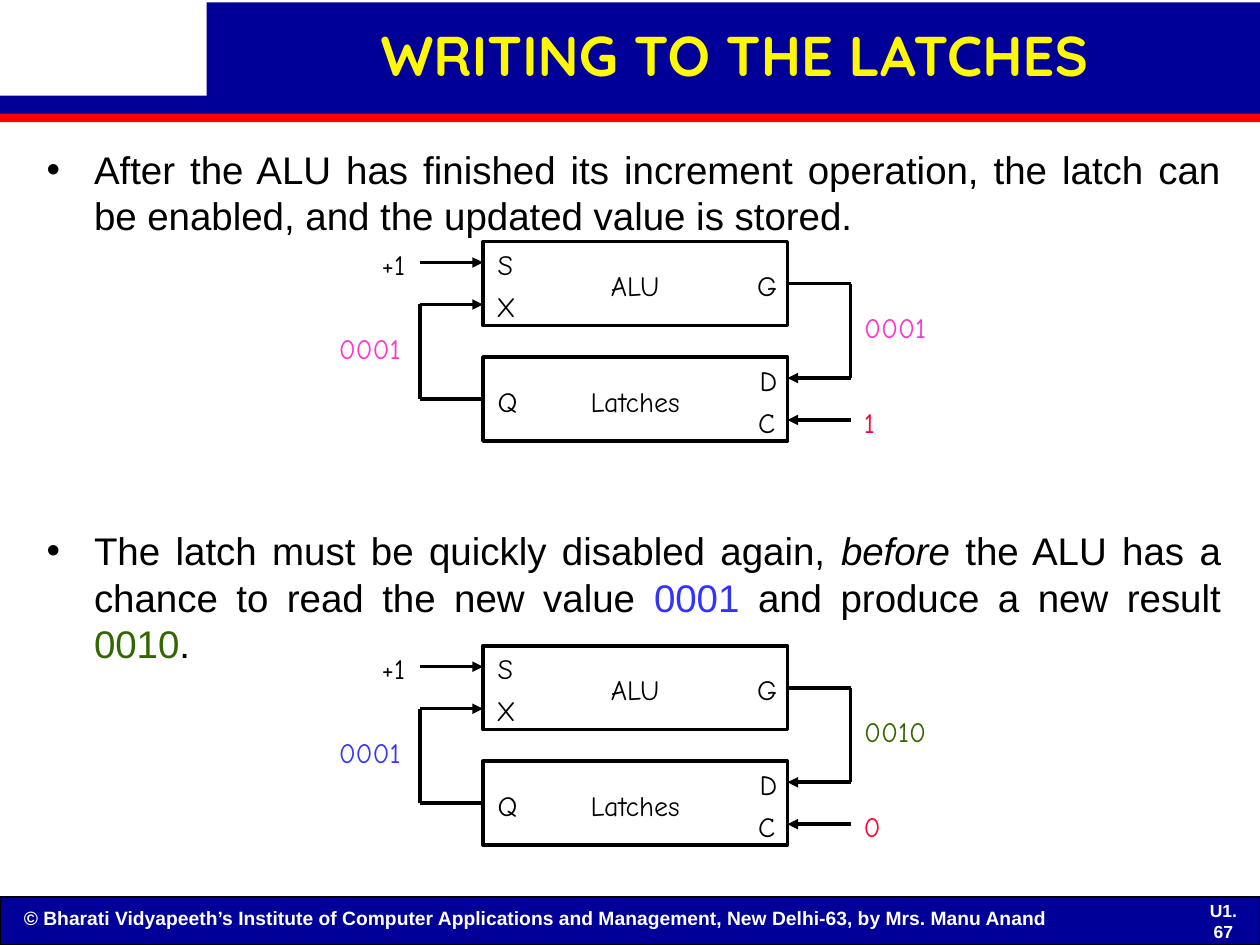
from lxml import etree
from pptx import Presentation
from pptx.dml.color import RGBColor
from pptx.enum import shapes, text
from pptx.oxml import ns
from pptx.util import Pt

rgb = RGBColor.from_string
BLACK, WHITE, NAVY, RED = "000000", "FFFFFF", "000099", "FF0000"
PINK, BLUE, GREEN, CRIMSON = "FF33CC", "3333FF", "336600", "FF0033"
LEFT, CENTER = text.PP_ALIGN.LEFT, text.PP_ALIGN.CENTER


def write(paragraph, words, size=16, font="Comic Neue", color=BLACK, bold=False, italic=False):
    """Append one formatted run to the paragraph."""
    run = paragraph.add_run()
    run.text = words
    run.font.size = Pt(size)
    run.font.name = font
    run.font.bold = bold
    run.font.italic = italic
    run.font.color.rgb = rgb(color)


def add_label(left, top, width, height, words, wrap=False, align=LEFT, **style):
    frame = slide.shapes.add_textbox(Pt(left), Pt(top), Pt(width), Pt(height)).text_frame
    frame.word_wrap = wrap
    if not wrap:
        frame.auto_size = text.MSO_AUTO_SIZE.SHAPE_TO_FIT_TEXT
    frame.paragraphs[0].alignment = align
    write(frame.paragraphs[0], words, **style)
    return frame


presentation = Presentation()
presentation.slide_width, presentation.slide_height = Pt(720), Pt(540)
slide = presentation.slides.add_slide(presentation.slide_layouts[1])
title, body = slide.placeholders

# Top of each diagram, left value and its colour, right value and its colour, enable bit
diagrams = [
    (138, "0001", PINK, "0001", PINK, "1"),
    (369, "0001", BLUE, "0010", GREEN, "0"),
]

# Bars of the page, then the ALU and latch boxes: left, top, width, height, fill, line, weight
rectangles = [
    (0, 512.6, 720, 27.4, NAVY, BLACK, 0.75),
    (0, 54.7, 720, 11.5, NAVY, None, 0),
    (118, 1.4, 602, 57.6, NAVY, None, 0),
    (0, 65, 720, 4.8, RED, None, 0),
]
for top, *_ in diagrams:
    for offset in (0, 66):
        rectangles.append((276, top + offset, 174, 48, None, BLACK, 2))

for left, top, width, height, fill, line, weight in rectangles:
    shape = slide.shapes.add_shape(
        shapes.MSO_SHAPE.RECTANGLE, Pt(left), Pt(top), Pt(width), Pt(height))
    shape.shadow.inherit = False
    if fill:
        shape.fill.solid()
        shape.fill.fore_color.rgb = rgb(fill)
    else:
        shape.fill.background()
    if line:
        shape.line.color.rgb = rgb(line)
        shape.line.width = Pt(weight)
    else:
        shape.line.fill.background()

# Title and body, brought in front of the bars
for placeholder, left, top, width, height in (
        (title, 117.4, 5, 604.8, 57.6), (body, 19.5, 80, 685.5, 411)):
    placeholder.left, placeholder.top = Pt(left), Pt(top)
    placeholder.width, placeholder.height = Pt(width), Pt(height)
    placeholder.text_frame.auto_size = text.MSO_AUTO_SIZE.NONE
    placeholder.element.getparent().append(placeholder.element)

frame = title.text_frame
frame.vertical_anchor = text.MSO_ANCHOR.MIDDLE
frame.margin_left = frame.margin_right = Pt(5)
frame.margin_top = frame.margin_bottom = Pt(2.2)
heading = frame.paragraphs[0]
heading.alignment = CENTER
heading.line_spacing = 0.88
write(heading, "WRITING TO THE LATCHES", size=32, font="Quicksand", color="FEF800", bold=True)

# Space before each bullet, then its runs
bullets = [
    (0, [("After the ALU has finished its increment operation, the latch can be enabled, "
          "and the updated value is stored.", {})]),
    (165, [("The latch must be quickly disabled again, ", {}),
           ("before", {"italic": True}),
           (" the ALU has a chance to read the new value ", {}),
           ("0001", {"color": BLUE}),
           (" and produce a new result ", {}),
           ("0010", {"color": GREEN}),
           (".", {})]),
]
for index, (space, runs) in enumerate(bullets):
    paragraph = body.text_frame.paragraphs[0] if index == 0 else body.text_frame.add_paragraph()
    properties = paragraph._p.get_or_add_pPr()
    properties.set("marL", str(Pt(27)))
    properties.set("indent", str(-Pt(27)))
    bullet_color = etree.SubElement(properties, ns.qn("a:buClr"))
    etree.SubElement(bullet_color, ns.qn("a:srgbClr"), val=BLACK)
    etree.SubElement(properties, ns.qn("a:buChar"), char="•")
    paragraph.alignment = text.PP_ALIGN.JUSTIFY
    paragraph.space_before = Pt(space)
    for words, style in runs:
        write(paragraph, words, size=22, font="Arial", **style)

# Wires inside a diagram: x1, y1, x2, y2 and the end with an arrowhead
wires = [
    (240, 12, 276, 12, "tailEnd"),
    (450, 78, 486, 78, "headEnd"),
    (486, 24, 486, 78, None),
    (450, 24, 486, 24, None),
    (240, 36, 276, 36, "tailEnd"),
    (240, 90, 276, 90, None),
    (240, 36, 240, 90, None),
    (450, 102, 486, 102, "headEnd"),
]
# Pin names: left, offset from the top of the diagram, width
pins = [
    ("+1", 211, 0, 29), ("S", 277.2, 0, 23), ("X", 276.5, 24, 25.2), ("G", 425.5, 12, 26),
    ("D", 427, 66, 24.5), ("Q", 277.2, 78, 25.2), ("C", 426.2, 90, 23.8),
]
for top, left_value, left_color, right_value, right_color, enable in diagrams:
    for x1, y1, x2, y2, arrow in wires:
        wire = slide.shapes.add_connector(
            shapes.MSO_CONNECTOR.STRAIGHT, Pt(x1), Pt(top + y1), Pt(x2), Pt(top + y2))
        wire.line.color.rgb = rgb(BLACK)
        wire.line.width = Pt(2)
        if arrow:
            etree.SubElement(wire.line._get_or_add_ln(), ns.qn(f"a:{arrow}"), type="triangle")
        etree.SubElement(wire.element.spPr, ns.qn("a:effectLst"))
    for words, left, offset, width in pins:
        add_label(left, top + offset, width, 26.6, words)
    for words, offset in (("ALU", 12), ("Latches", 78)):
        add_label(288, top + offset, 150, 26.6, words, wrap=True, align=CENTER)
    add_label(186.5, top + 48, 49.7, 26.6, left_value, color=left_color)
    add_label(486.7, top + 36, 49.7, 26.6, right_value, color=right_color)
    add_label(486.5, top + 90, 21 if enable == "1" else 23.8, 26.6, enable, color=CRIMSON)

footer = {"wrap": True, "font": "Arial", "color": WHITE, "bold": True}
add_label(6.5, 514.1, 661, 20.9,
          "© Bharati Vidyapeeth’s Institute of Computer Applications and Management, "
          "New Delhi-63, by Mrs. Manu Anand", size=11, **footer)
page = add_label(680.4, 517.7, 37.4, 17.3, "U1. 67", size=10, align=CENTER, **footer)
page.vertical_anchor = text.MSO_ANCHOR.MIDDLE

presentation.save("out.pptx")
